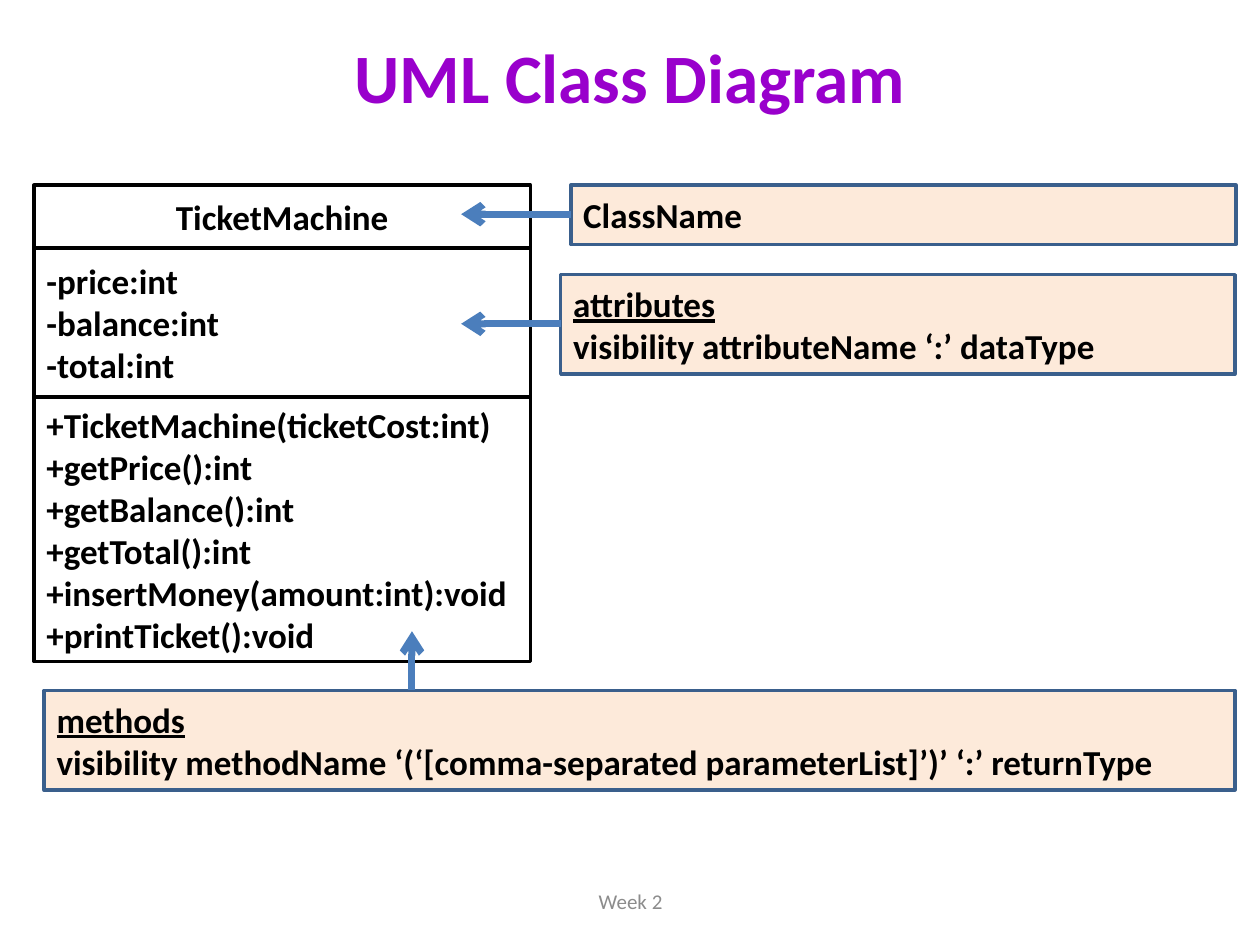
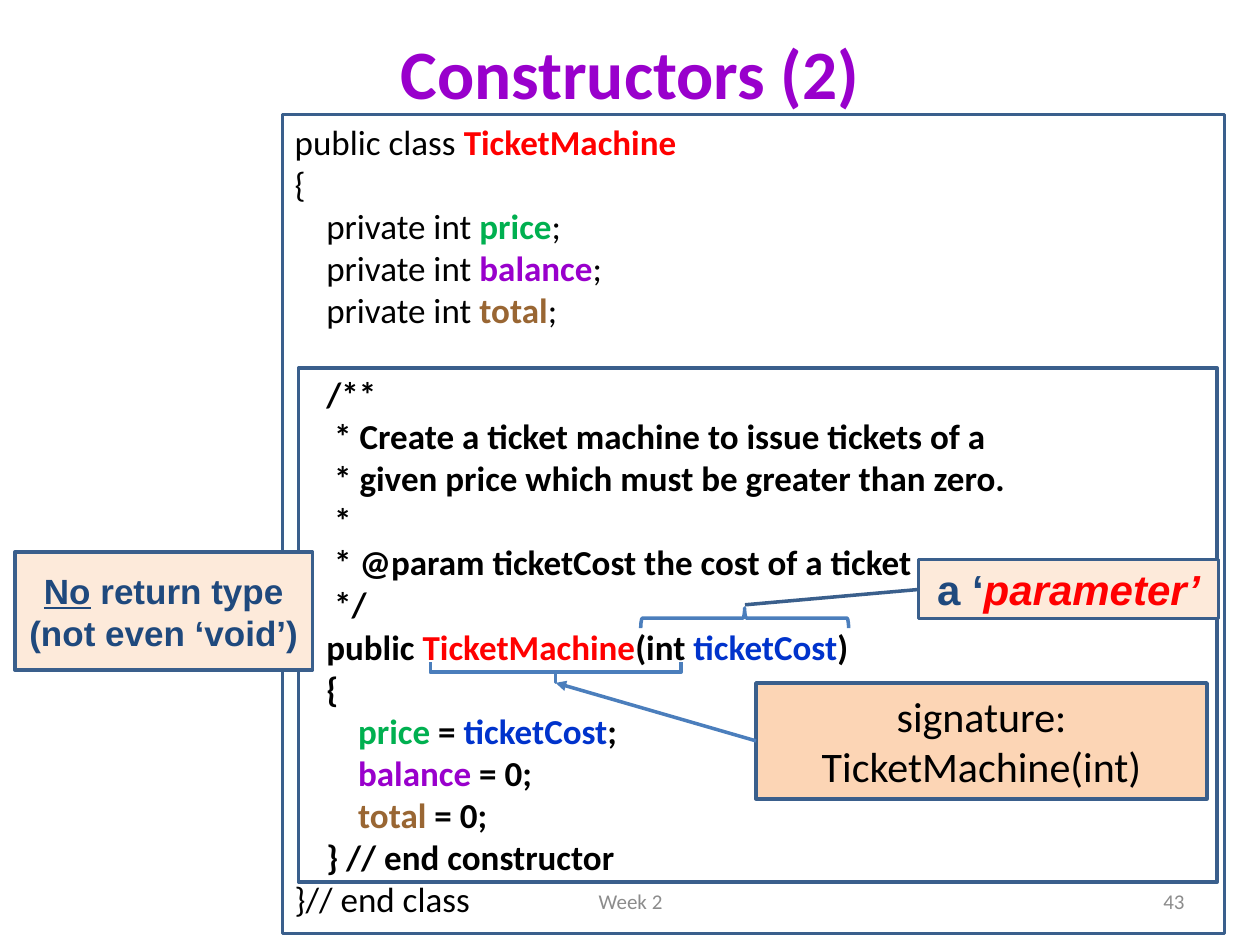
from dataclasses import dataclass
from typing import NamedTuple, Optional

from lxml import etree
from pptx import Presentation
from pptx import util as u
from pptx.dml.color import RGBColor
from pptx.enum import shapes, text
from pptx.oxml import ns

MSO = shapes.MSO_SHAPE
LEFT, CENTER, RIGHT = text.PP_ALIGN.LEFT, text.PP_ALIGN.CENTER, text.PP_ALIGN.RIGHT
MIDDLE, TOP = text.MSO_ANCHOR.MIDDLE, text.MSO_ANCHOR.TOP


@dataclass(frozen=True)
class Theme:
    font: str = "Calibri"
    note_font: str = "Arial"
    purple: str = "9900CC"
    black: str = "000000"
    white: str = "FFFFFF"
    red: str = "FF0000"
    green: str = "00B050"
    brown: str = "996633"
    code_blue: str = "0033CC"
    navy: str = "1F497D"
    edge: str = "3A5F8C"
    arrow: str = "4B7EBC"
    cream: str = "FDEADA"
    peach: str = "FCD5B5"
    grey: str = "8C8C8C"
    title_size: float = 39.6
    note_size: float = 24
    body_size: float = 20
    footer_size: float = 12
    code_line: float = 24


T = Theme()


class Area(NamedTuple):
    x: float
    y: float
    w: float
    h: float

    def lengths(self) -> list:
        return [u.Inches(v) for v in self]


class Note(NamedTuple):
    """A syntax note with an arrow into the class diagram."""
    area: Area
    heading: str
    syntax: Optional[str]
    start: tuple
    end: tuple


# ---- Shared helpers ----
def add_run(p, words: str, *, size=T.body_size, colour=T.black, font=T.font,
            bold=False, italic=False, underline=False) -> None:
    r = p.add_run()
    r.text = words
    f = r.font
    f.name, f.size, f.bold, f.italic, f.underline = font, u.Pt(size), bold, italic, underline
    f.color.rgb = RGBColor.from_string(colour)


def next_paragraph(tf, align=LEFT):
    """Use the empty first paragraph, or add another."""
    first = tf.paragraphs[0]
    p = tf.add_paragraph() if first.runs else first
    p.alignment = align
    return p


def add_lines(tf, lines: list, align=LEFT, **fmt) -> None:
    for line in lines:
        add_run(next_paragraph(tf, align), line, **fmt)


def set_frame(tf, anchor=MIDDLE) -> None:
    tf.word_wrap = True
    tf.auto_size = text.MSO_AUTO_SIZE.NONE
    tf.vertical_anchor = anchor


def add_box(s, area: Area, fill: Optional[str] = None, line=T.edge, width=2.0,
            kind=MSO.RECTANGLE, anchor=MIDDLE, adjust=(), rotation=0):
    sp = s.shapes.add_shape(kind, *area.lengths())
    sp.shadow.inherit = False
    if fill:
        sp.fill.solid()
        sp.fill.fore_color.rgb = RGBColor.from_string(fill)
    else:
        sp.fill.background()
    sp.line.color.rgb = RGBColor.from_string(line)
    sp.line.width = u.Pt(width)
    for i, value in enumerate(adjust):
        sp.adjustments[i] = value
    sp.rotation = rotation
    set_frame(sp.text_frame, anchor)
    return sp


def add_arrow(s, start: tuple, end: tuple, width: float, head: str) -> None:
    points = [u.Inches(v) for v in (*start, *end)]
    c = s.shapes.add_connector(shapes.MSO_CONNECTOR.STRAIGHT, *points)
    c.line.color.rgb = RGBColor.from_string(T.arrow)
    c.line.width = u.Pt(width)
    etree.SubElement(c.line._get_or_add_ln(), ns.qn("a:tailEnd"), type=head)
    etree.SubElement(c._element.spPr, ns.qn("a:effectLst"))


def add_footer(s, words: str, area: Area, align=CENTER) -> None:
    tf = s.shapes.add_textbox(*area.lengths()).text_frame
    set_frame(tf)
    add_lines(tf, [words], align, size=T.footer_size, colour=T.grey)


def new_slide(prs, title: str, title_height: float):
    s = prs.slides.add_slide(prs.slide_layouts[5])
    sp = s.shapes.title
    sp.left, sp.top, sp.width, sp.height = Area(0.5, 0.3, 9, title_height).lengths()
    set_frame(sp.text_frame)
    add_lines(sp.text_frame, [title], CENTER, size=T.title_size, colour=T.purple, bold=True)
    return s


def add_week(s) -> None:
    add_footer(s, "Week 2", Area(3.42, 6.95, 3.17, 0.4))


# ---- Slide 1: class diagram ----
COMPARTMENTS = [  # height, alignment, lines
    (0.5, CENTER, ["TicketMachine"]),
    (1.18, LEFT, ["-price:int", "-balance:int", "-total:int"]),
    (2.1, LEFT, ["+TicketMachine(ticketCost:int)", "+getPrice():int",
                 "+getBalance():int", "+getTotal():int",
                 "+insertMoney(amount:int):void", "+printTicket():void"]),
]
NOTES = [
    Note(Area(4.53, 1.47, 5.28, 0.47), "ClassName", None, (4.53, 1.7), (3.66, 1.7)),
    Note(Area(4.45, 2.18, 5.35, 0.79), "attributes",
         "visibility attributeName ‘:’ dataType", (4.45, 2.57), (3.66, 2.57)),
    Note(Area(0.35, 5.48, 9.45, 0.79), "methods",
         "visibility methodName ‘(‘[comma-separated parameterList]’)’ ‘:’ returnType",
         (3.27, 5.48), (3.27, 5.01)),
]


def build_class_diagram(prs) -> None:
    s = new_slide(prs, "UML Class Diagram", 0.61)
    y = 1.47
    for height, align, lines in COMPARTMENTS:
        sp = add_box(s, Area(0.27, y, 3.94, height), T.white, T.black)
        add_lines(sp.text_frame, lines, align, bold=True)
        y += height
    for note in NOTES:
        tf = add_box(s, note.area, T.cream).text_frame
        add_lines(tf, [note.heading], bold=True, underline=note.syntax is not None)
        if note.syntax:
            add_lines(tf, [note.syntax], bold=True)
        add_arrow(s, note.start, note.end, 4, "arrow")
    add_week(s)


# ---- Slide 2: constructor code ----
# "|" separates the coloured names from the rest of a line
FIELDS = """public class |TicketMachine
{
    private int |price|;
    private int |balance|;
    private int |total|;"""
CONSTRUCTOR = """    /**
     * Create a ticket machine to issue tickets of a
     * given price which must be greater than zero.
     *
     * @param ticketCost the cost of a ticket
     */
    public |TicketMachine|(int |ticketCost|)
    {
        |price| = |ticketCost|;
        |balance| = 0;
        |total| = 0;
    } // end constructor"""
CLASS_END = "}// end class"
NAME_COLOURS = {"TicketMachine": T.red, "price": T.green, "balance": T.purple,
                "total": T.brown, "ticketCost": T.code_blue}


def add_code(tf, code: str, bold: bool, gap: float = 0) -> None:
    for i, line in enumerate(code.splitlines()):
        p = next_paragraph(tf)
        if gap and i == 0:
            p.space_before = u.Pt(gap)
        for piece in line.split("|"):
            add_run(p, piece, colour=NAME_COLOURS.get(piece, T.black),
                    bold=bold or piece in NAME_COLOURS)


def build_constructors(prs) -> None:
    s = new_slide(prs, "Constructors (2)", 0.54)

    # Code listing and the frame around the constructor
    tf = add_box(s, Area(2.24, 0.91, 7.48, 6.5), width=1.5, anchor=TOP).text_frame
    add_code(tf, FIELDS, bold=False)
    add_code(tf, CONSTRUCTOR, bold=True, gap=T.code_line)
    add_code(tf, CLASS_END, bold=False)
    add_box(s, Area(2.37, 2.92, 7.29, 4.08))

    # Parameter brace and callout
    add_box(s, Area(5.83, 4.08, 0.16, 1.65), line=T.arrow, kind=MSO.RIGHT_BRACE, rotation=270)
    sp = add_box(s, Area(7.29, 4.44, 2.38, 0.47), T.cream, kind=MSO.LINE_CALLOUT_1,
                 adjust=(0.507, 0.002, 0.767, -0.579))
    note = dict(font=T.note_font, bold=True)
    p = next_paragraph(sp.text_frame, CENTER)
    add_run(p, "a ‘", size=T.note_size, colour=T.navy, **note)
    add_run(p, "parameter’", size=T.note_size, colour=T.red, italic=True, **note)

    # Return type note
    tf = add_box(s, Area(0.12, 4.38, 2.36, 0.94), T.cream).text_frame
    p = next_paragraph(tf, CENTER)
    add_run(p, "No", colour=T.navy, underline=True, **note)
    add_run(p, " return type", colour=T.navy, **note)
    add_lines(tf, ["(not even ‘void’)"], CENTER, colour=T.navy, **note)

    # Signature note, arrow and brace
    sp = add_box(s, Area(6, 5.42, 3.58, 0.92), T.peach)
    add_lines(sp.text_frame, ["signature: TicketMachine(int)"], CENTER, size=T.note_size)
    add_arrow(s, (6, 5.88), (4.41, 5.42), 2, "triangle")
    add_box(s, Area(4.33, 4.34, 0.16, 1.99), line=T.arrow, kind=MSO.RIGHT_BRACE,
            adjust=(0, 0.5), rotation=90)

    add_footer(s, "43", Area(7.17, 6.95, 2.33, 0.4), RIGHT)
    add_week(s)


def main() -> None:
    prs = Presentation()
    prs.slide_width, prs.slide_height = u.Inches(10), u.Inches(7.5)
    build_class_diagram(prs)
    build_constructors(prs)
    prs.save("out.pptx")


if __name__ == "__main__":
    main()
